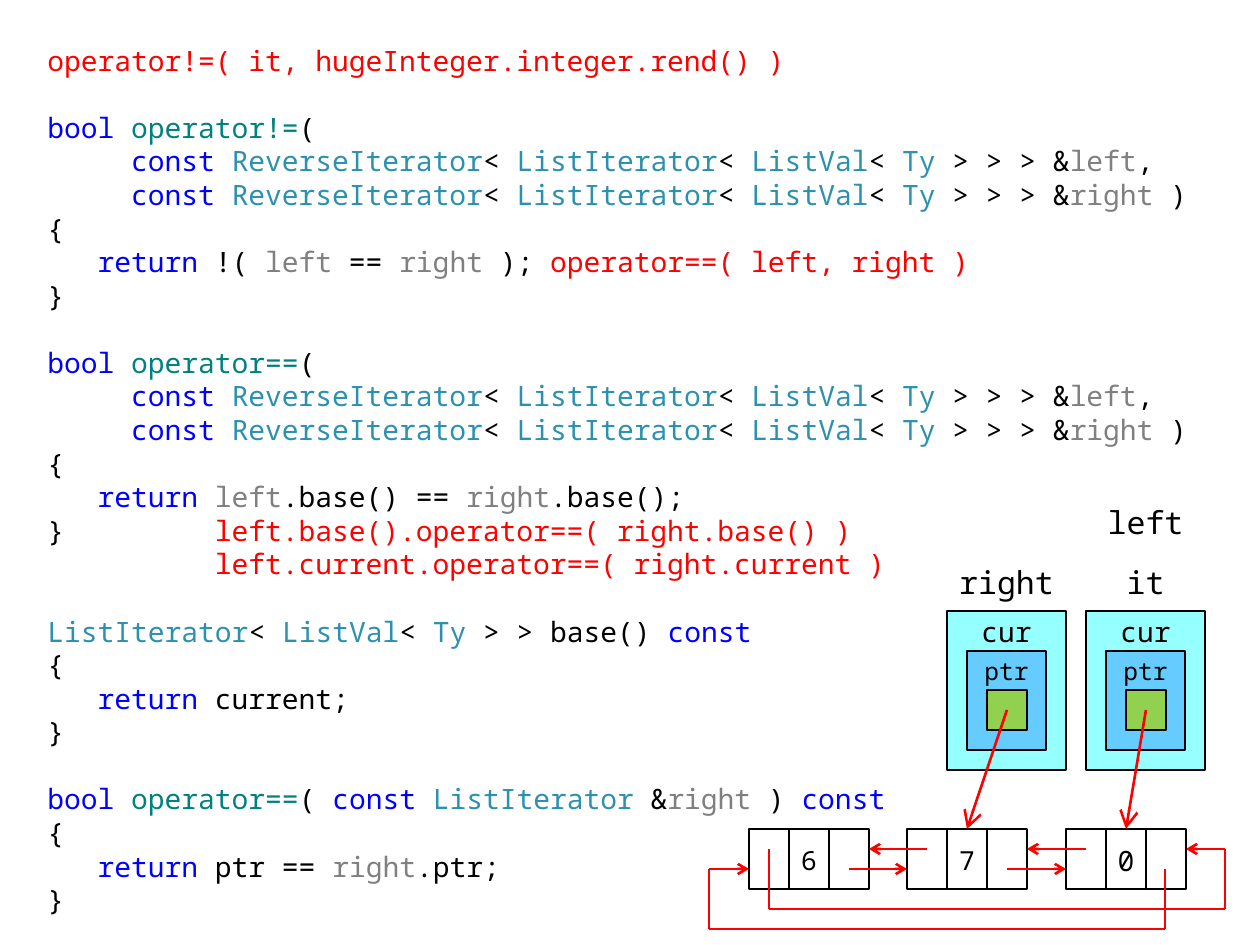
"""Build a slide tracing reverse iterator comparison over a linked list."""
import itertools

import lxml.etree
import pptx
import pptx.dml.color
import pptx.enum.shapes
import pptx.enum.text
import pptx.oxml.ns
import pptx.util

PX = 914400 / 126
FONT = "Noto Sans Mono"
COLORS = {
    "key": "0000FF", "func": "008080", "type": "2B91AF", "arg": "808080",
    "code": "000000", "note": "FF0000", "line": "000000", "link": "FF0000",
    "iter": "96FFFF", "cur": "66CCFF", "ptr": "92D050",
}
PARAM = ("code:     |key:const |type:ReverseIterator|code:< |type:ListIterator"
         "|code:< |type:ListVal|code:< |type:Ty|code: > > > &|arg:")
PARAMS = [PARAM + "left|code:,", PARAM + "right|code: )", "code:{"]
CODE = [
    "note:operator!=( it, hugeInteger.integer.rend() )",
    "",
    "key:bool |func:operator!=|code:(",
    *PARAMS,
    "code:   |key:return|code: !( |arg:left|code: == |arg:right |code:); "
    "|note:operator==( left, right )",
    "code:}",
    "",
    "key:bool |func:operator==|code:(",
    *PARAMS,
    "code:   |key:return |arg:left|code:.base() == |arg:right|code:.base();",
    "code:}         |note:left.base().operator==( right.base() )",
    "note:          left.current.operator==( right.current )",
    "",
    "type:ListIterator|code:< |type:ListVal|code:< |type:Ty"
    "|code: > > base() |key:const",
    "code:{",
    "code:   |key:return|code: current;",
    "code:}",
    "",
    "key:bool |func:operator==|code:( |key:const |type:ListIterator|code: &"
    "|arg:right|code: ) |key:const",
    "code:{",
    "code:   |key:return |code:ptr == |arg:right|code:.ptr;",
    "code:}",
]
NODES = [(749, "6", 15), (907, "7", 15), (1066, "0", 16)]
NODE_Y, CELL_W, CELL_H = 829, 40, 60
NEXT_Y, PREV_Y = 869, 849
ITERS = [(1086, 2), (947, 1)]
ITER_Y = 611
PARTS = [
    ("iter", 0, 0, 119, 159, "", 0),
    ("cur", 20, 40, 79, 99, "", 0),
    (None, 20, 40, 79, 40, "ptr", 14),
    (None, 20, 0, 79, 40, "cur", 16),
]
NAMES = [
    ("it", 1106, 552, 79, 59),
    ("right", 947, 552, 119, 59),
    ("left", 1086, 492, 119, 59),
]
LOOPS = [
    [(1165, NEXT_Y), (1165, 929), (709, 929), (709, NEXT_Y), (749, NEXT_Y)],
    [(769, PREV_Y), (769, 909), (1225, 909), (1225, PREV_Y), (1186, PREV_Y)],
]
KINDS = pptx.enum.shapes.MSO_SHAPE
ALIGN = pptx.enum.text.PP_ALIGN
ANCHOR = pptx.enum.text.MSO_ANCHOR

deck = pptx.Presentation()
deck.slide_width = pptx.util.Inches(10)
deck.slide_height = pptx.util.Inches(7.5)
slide = deck.slides.add_slide(deck.slide_layouts[6])
shapes = slide.shapes


def emu(*nums):
    return [round(num * PX) for num in nums]


def apply(item, values):
    for name, value in values.items():
        setattr(item, name, value)


def color(name):
    return pptx.dml.color.RGBColor.from_string(COLORS[name])


def style(font, size, name):
    apply(font, {"name": FONT, "size": pptx.util.Pt(size)})
    font.color.rgb = color(name)


def label(shape, text, size, top=6, bottom=6):
    frame = shape.text_frame
    apply(frame, {
        "word_wrap": True, "vertical_anchor": ANCHOR.MIDDLE,
        "margin_left": 0, "margin_right": 0,
        "margin_top": emu(top)[0], "margin_bottom": emu(bottom)[0],
    })
    para = frame.paragraphs[0]
    para.alignment = ALIGN.CENTER
    run = para.add_run()
    run.text = text
    style(run.font, size, "code")


def block(kind, box, fill=None, line=True):
    shape = shapes.add_shape(kind, *emu(*box))
    shape.shadow.inherit = False
    if fill:
        shape.fill.solid()
        shape.fill.fore_color.rgb = color(fill)
    else:
        shape.fill.background()
    if line:
        shape.line.color.rgb = color("line")
        shape.line.width = pptx.util.Pt(1.5)
    else:
        shape.line.fill.background()
    return shape


def link(start, end, head="med"):
    wire = shapes.add_connector(
        pptx.enum.shapes.MSO_CONNECTOR.STRAIGHT, *emu(*start, *end))
    wire.line.color.rgb = color("link")
    wire.line.width = pptx.util.Pt(1.5)
    qn = pptx.oxml.ns.qn
    props = wire._element.spPr
    if head:
        lxml.etree.SubElement(props.find(qn("a:ln")), qn("a:tailEnd"),
                              type="arrow", w=head, len=head)
    lxml.etree.SubElement(props, qn("a:effectLst"))
    return wire


def listing():
    frame = shapes.add_textbox(*emu(35, 37, 1191, 893)).text_frame
    frame.word_wrap = True
    for num, text in enumerate(CODE):
        para = frame.add_paragraph() if num else frame.paragraphs[0]
        style(para.font, 16, "code")
        for piece in filter(None, text.split("|")):
            name, _, word = piece.partition(":")
            run = para.add_run()
            run.text = word
            style(run.font, 16, name)


def node(left, value, size):
    cells = [block(KINDS.RECTANGLE,
                   (left + num * CELL_W, NODE_Y, CELL_W, CELL_H))
             for num in range(3)]
    label(cells[1], value, size, 8, 5)
    return cells


def cursor(left, cell):
    for fill, dx, dy, wide, high, text, size in PARTS:
        shape = block(KINDS.FLOWCHART_PROCESS,
                      (left + dx, ITER_Y + dy, wide, high), fill, bool(fill))
        if text:
            label(shape, text, size)
    block(KINDS.RECTANGLE, (left + 40, ITER_Y + 79, 40, 40), "ptr")
    wire = link((left + 60, ITER_Y + 99), (left, NODE_Y), "lg")
    wire.end_connect(cell, 0)


listing()
nodes = [node(*item) for item in NODES]
for (left, *_), (right, *_) in itertools.pairwise(NODES):
    link((left + 100, NEXT_Y), (right, NEXT_Y))
    link((right + 20, PREV_Y), (left + 3 * CELL_W, PREV_Y))
for loop in LOOPS:
    for start, end in itertools.pairwise(loop):
        link(start, end, "med" if end == loop[-1] else None)
for left, num in ITERS:
    cursor(left, nodes[num][1])
for text, *box in NAMES:
    label(shapes.add_textbox(*emu(*box)), text, 18)
deck.save("out.pptx")
